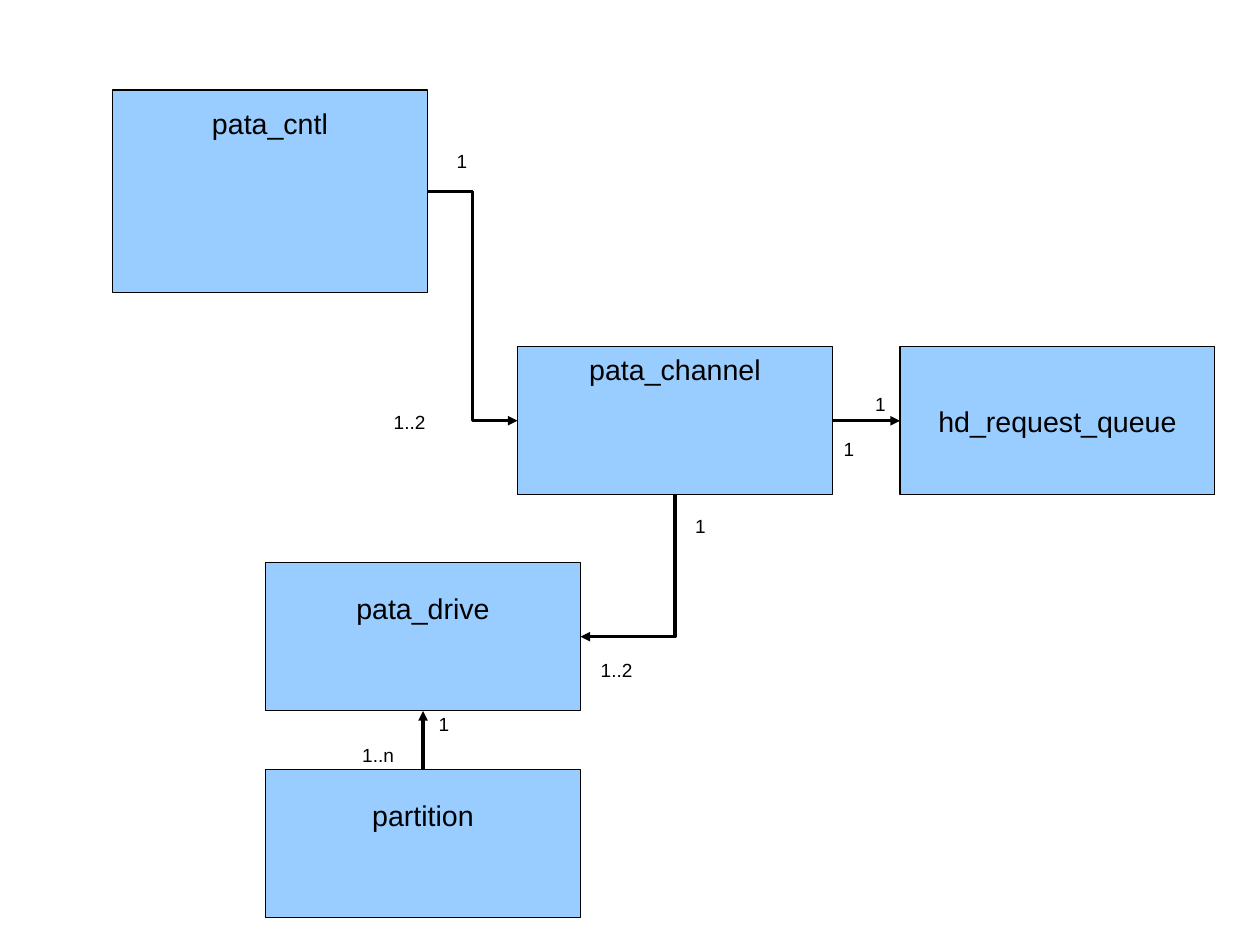
"""Draw the class diagram of the pata disk driver on one slide."""
from lxml import etree
from pptx import Presentation, util as u
from pptx.dml.color import RGBColor
from pptx.enum import shapes, text
from pptx.oxml import ns

THEME = {
    "font": "Arial",
    "ink": RGBColor(0x00, 0x00, 0x00),
    "fill": RGBColor(0x99, 0xCC, 0xFF),
    "name": u.Pt(18),
    "count": u.Pt(12),
    "line": u.Pt(0),
}
TOP, LEFT, BOTTOM, RIGHT = range(4)


def write(shape, words, size, align):
    """Set the words of a shape and format them."""
    para = shape.text_frame.paragraphs[0]
    para.text = words
    para.alignment = align
    font = para.runs[0].font
    font.name = THEME["font"]
    font.size = size
    font.color.rgb = THEME["ink"]


deck = Presentation()
deck.slide_width, deck.slide_height = u.Cm(28), u.Cm(21)
slide = deck.slides.add_slide(deck.slide_layouts[6])

boxes = {}
for name, x, y, high, inset in (
    ("pata_cntl", 2.5, 2, 4.5, 0.35),
    ("pata_channel", 11.5, 7.7, 3.3, 0.13),
    ("hd_request_queue", 20, 7.7, 3.3, None),
    ("pata_drive", 5.9, 12.5, 3.3, 0.64),
    ("partition", 5.9, 17.1, 3.3, 0.64),
):
    box = slide.shapes.add_shape(
        shapes.MSO_SHAPE.RECTANGLE, u.Cm(x), u.Cm(y), u.Cm(7), u.Cm(high))
    box.shadow.inherit = False
    box.fill.solid()
    box.fill.fore_color.rgb = THEME["fill"]
    box.line.color.rgb = THEME["ink"]
    box.line.width = THEME["line"]
    frame = box.text_frame
    frame.margin_left = frame.margin_right = u.Cm(0.05)
    if inset is None:
        frame.vertical_anchor = text.MSO_ANCHOR.MIDDLE
    else:
        frame.vertical_anchor = text.MSO_ANCHOR.TOP
        frame.margin_top = u.Cm(inset)
    write(box, name, THEME["name"], text.PP_ALIGN.CENTER)
    boxes[name] = box

BENT, PLAIN = shapes.MSO_CONNECTOR.ELBOW, shapes.MSO_CONNECTOR.STRAIGHT
for kind, start, out, end, into in (
    (BENT, "pata_cntl", RIGHT, "pata_channel", LEFT),
    (PLAIN, "pata_channel", RIGHT, "hd_request_queue", LEFT),
    (BENT, "pata_channel", BOTTOM, "pata_drive", RIGHT),
    (PLAIN, "partition", TOP, "pata_drive", BOTTOM),
):
    link = slide.shapes.add_connector(kind, 0, 0, 0, 0)
    link.begin_connect(boxes[start], out)
    link.end_connect(boxes[end], into)
    link.line.color.rgb = THEME["ink"]
    link.line.width = THEME["line"]
    props = link._element.spPr
    tail = etree.SubElement(props.find(ns.qn("a:ln")), ns.qn("a:tailEnd"))
    tail.set("type", "triangle")
    etree.SubElement(props, ns.qn("a:effectLst"))
    if kind == BENT and out == BOTTOM:
        wide, high = link.width, link.height
        link.left += (wide - high) // 2
        link.top += (high - wide) // 2
        link.width, link.height = high, wide
        turn = props.find(ns.qn("a:xfrm"))
        turn.attrib.pop("flipH", None)
        turn.set("rot", "5400000")
        props.find(ns.qn("a:prstGeom")).set("prst", "bentConnector2")

for count, x, y in (
    ("1", 9.9, 3.2),
    ("1..2", 8.5, 9),
    ("1", 19.2, 8.6),
    ("1", 18.5, 9.6),
    ("1", 15.2, 11.3),
    ("1..2", 13.1, 14.5),
    ("1", 9.5, 15.7),
    ("1..n", 7.8, 16.4),
):
    label = slide.shapes.add_textbox(u.Cm(x), u.Cm(y), u.Cm(1.5), u.Cm(0.74))
    label.text_frame.word_wrap = True
    write(label, count, THEME["count"], text.PP_ALIGN.LEFT)

deck.save("out.pptx")
